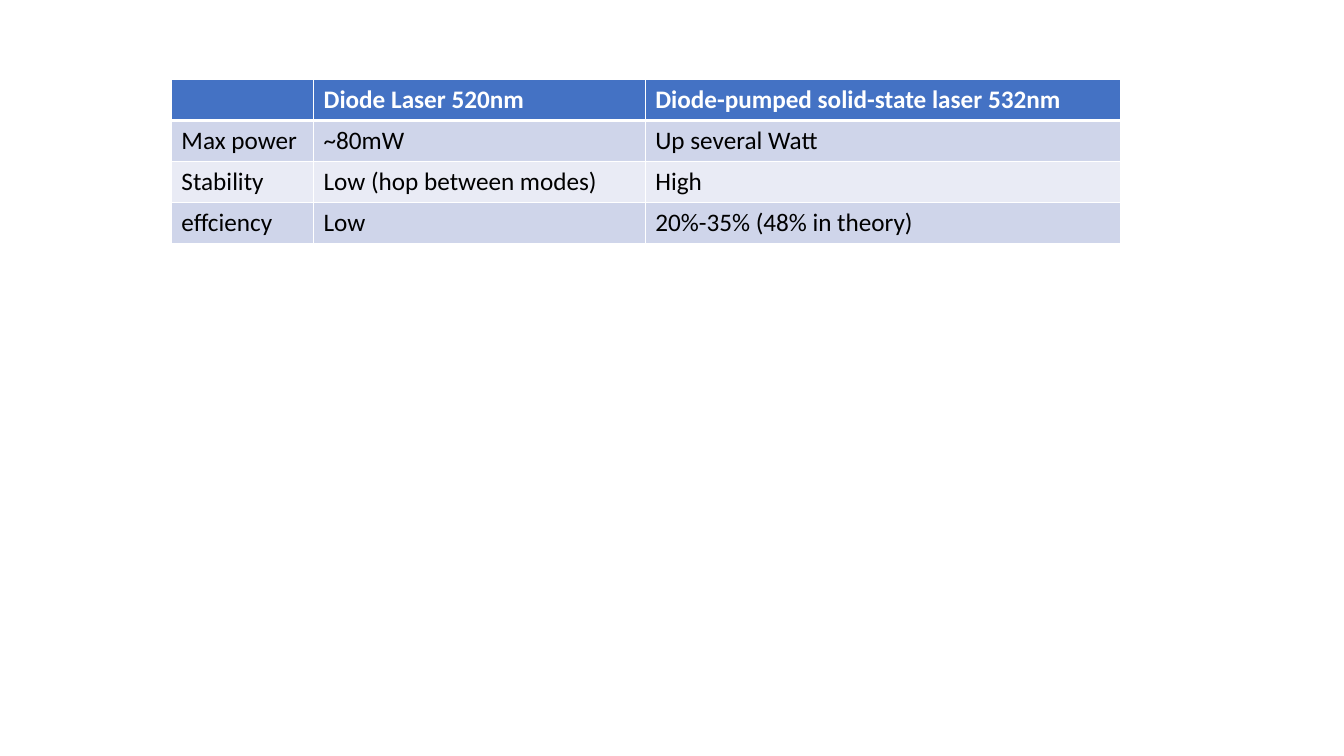
from dataclasses import dataclass

from lxml import etree
from pptx import Presentation
from pptx.dml.color import RGBColor
from pptx.oxml.ns import qn
from pptx.table import _Cell
from pptx.util import Inches, Pt

WHITE = "FFFFFF"
BLACK = "000000"
BLUE = "4472C4"
BAND_DARK = "CFD5EA"
BAND_LIGHT = "E9EBF5"
THIN, THICK = 1, 3


@dataclass(frozen=True)
class Row:
    texts: tuple[str, str, str]
    fill: str
    color: str = BLACK
    bold: bool = False
    top: float = THIN
    bottom: float = THIN


COLUMN_WIDTHS = (1.41, 3.29, 4.71)
ROWS = (
    Row(("", "Diode Laser 520nm", "Diode-pumped solid-state laser 532nm"),
        BLUE, color=WHITE, bold=True, bottom=THICK),
    Row(("Max power", "~80mW", "Up several Watt"), BAND_DARK, top=THICK),
    Row(("Stability", "Low (hop between modes)", "High"), BAND_LIGHT),
    Row(("effciency", "Low", "20%-35% (48% in theory)"), BAND_DARK),
)


def rgb(color: str) -> RGBColor:
    return RGBColor.from_string(color)


def add_text(cell: _Cell, text: str, *, color: str, bold: bool,
             size: float = 18, font: str = "Calibri") -> None:
    p = cell.text_frame.paragraphs[0]
    p.font.size = Pt(size)
    if not text:
        return
    r = p.add_run()
    r.text = text
    r.font.name = font
    r.font.size = Pt(size)
    r.font.bold = bold
    r.font.color.rgb = rgb(color)


def add_borders(cell: _Cell, top: float, bottom: float) -> None:
    tc_pr = cell._tc.get_or_add_tcPr()
    widths = {"a:lnL": THIN, "a:lnR": THIN, "a:lnT": top, "a:lnB": bottom}
    for tag, width in widths.items():
        ln = etree.SubElement(tc_pr, qn(tag), w=str(Pt(width)))
        fill = etree.SubElement(ln, qn("a:solidFill"))
        etree.SubElement(fill, qn("a:srgbClr"), val=WHITE)


def draw_cell(cell: _Cell, text: str, row: Row) -> None:
    add_text(cell, text, color=row.color, bold=row.bold)
    add_borders(cell, row.top, row.bottom)
    cell.fill.solid()
    cell.fill.fore_color.rgb = rgb(row.fill)


prs = Presentation()
prs.slide_width, prs.slide_height = Inches(13.33), Inches(7.5)
s = prs.slides.add_slide(prs.slide_layouts[6])

table = s.shapes.add_table(
    len(ROWS), len(COLUMN_WIDTHS),
    Inches(1.7), Inches(0.79), Inches(sum(COLUMN_WIDTHS)), Inches(1.62),
).table
for column, width in zip(table.columns, COLUMN_WIDTHS):
    column.width = Inches(width)
for i, row in enumerate(ROWS):
    for j, text in enumerate(row.texts):
        draw_cell(table.cell(i, j), text, row)

prs.save("out.pptx")
